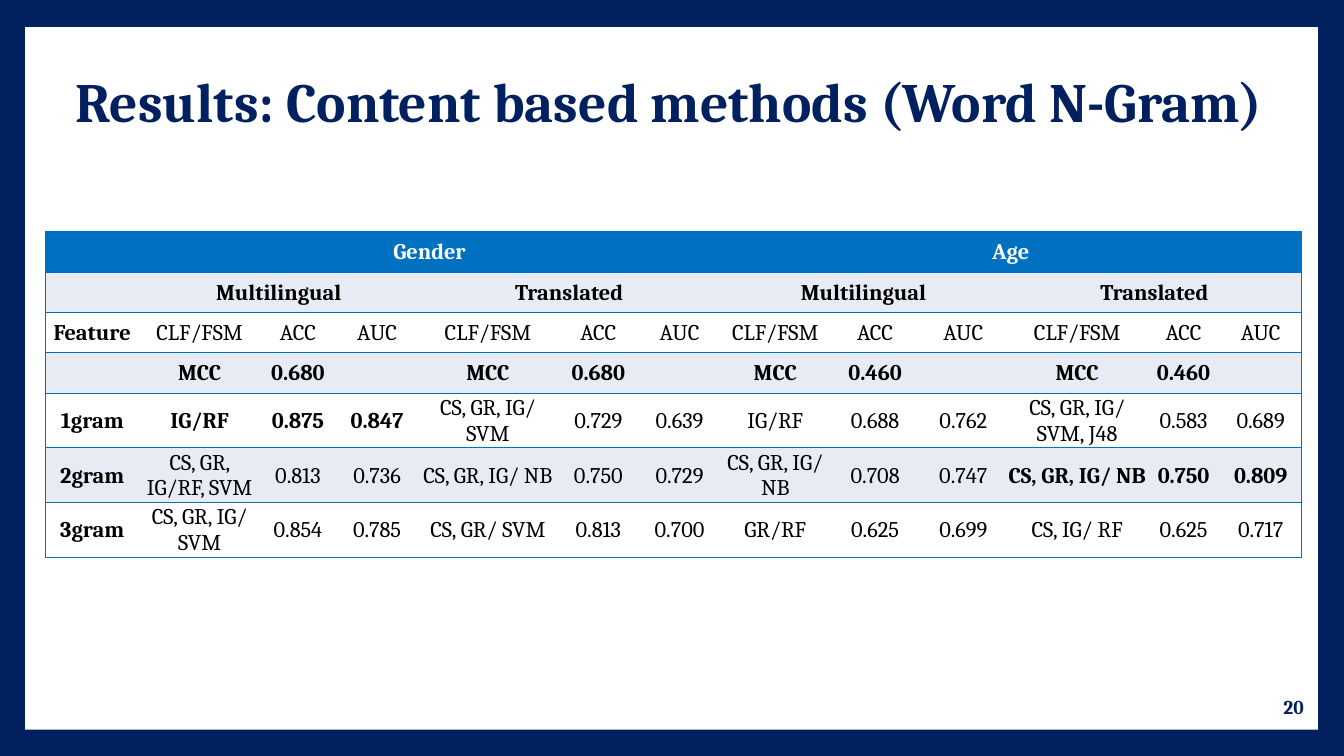
from dataclasses import dataclass

from lxml.etree import SubElement
from pptx import Presentation
from pptx.dml.color import RGBColor
from pptx.enum.shapes import MSO_SHAPE
from pptx.enum.text import MSO_ANCHOR, MSO_AUTO_SIZE, PP_ALIGN
from pptx.oxml.ns import qn
from pptx.util import Emu, Pt


@dataclass(frozen=True)
class Theme:
    font: str = "Cambria"
    navy: str = "002060"
    blue: str = "0070C0"
    band: str = "E7EBF4"
    white: str = "FFFFFF"
    black: str = "000000"
    title: float = 39.6
    cell: float = 16
    number: float = 14


T = Theme()
COLS = [93, 120, 75, 82, 138, 81, 80, 110, 88, 87, 139, 72, 81]
ROW_H = 40
MEASURES = ["CLF/FSM", "ACC", "AUC"]
LANGUAGES = ["Multilingual", "", "", "Translated", "", ""]
ROWS = [
    ["", "Gender", "", "", "", "", "", "Age", "", "", "", "", ""],
    [""] + LANGUAGES * 2,
    ["Feature"] + MEASURES * 4,
    [""] + ["MCC", "0.680", ""] * 2 + ["MCC", "0.460", ""] * 2,
    ["1gram", "IG/RF", "0.875", "0.847", "CS, GR, IG/ SVM", "0.729", "0.639",
     "IG/RF", "0.688", "0.762", "CS, GR, IG/ SVM, J48", "0.583", "0.689"],
    ["2gram", "CS, GR, IG/RF, SVM", "0.813", "0.736", "CS, GR, IG/ NB", "0.750", "0.729",
     "CS, GR, IG/ NB", "0.708", "0.747", "CS, GR, IG/ NB", "0.750", "0.809"],
    ["3gram", "CS, GR, IG/ SVM", "0.854", "0.785", "CS, GR/ SVM", "0.813", "0.700",
     "GR/RF", "0.625", "0.699", "CS, IG/ RF", "0.625", "0.717"],
]
SPANS = {0: 6, 1: 3}
BOLD_ROWS = {0, 1, 3}
BEST = {4: range(1, 4), 5: range(10, 13)}


def px(n):
    return Emu(n * 9144)


def rgb(value):
    return RGBColor.from_string(value)


def write(tf, text, size, color, bold=True, align=PP_ALIGN.CENTER):
    p = tf.paragraphs[0]
    p.alignment = align
    if text:
        r = p.add_run()
        r.text = text
        r.font.name = T.font
        r.font.size = Pt(size)
        r.font.bold = bold
        r.font.color.rgb = rgb(color)
    return p


def add_panel(s):
    sp = s.shapes.add_shape(MSO_SHAPE.RECTANGLE, px(25), px(27), px(1282), px(697))
    sp.shadow.inherit = False
    sp.fill.solid()
    sp.fill.fore_color.rgb = rgb(T.white)
    sp.line.fill.background()
    s.shapes.element.insert(2, sp.element)


def set_title(s, text):
    sp = s.shapes.title
    sp.left, sp.top, sp.width, sp.height = px(25), px(40), px(1277), px(128)
    tf = sp.text_frame
    tf.word_wrap = True
    tf.auto_size = MSO_AUTO_SIZE.NONE
    tf.vertical_anchor = MSO_ANCHOR.MIDDLE
    write(tf, text, T.title, T.navy).line_spacing = 0.9


def add_number(s, text):
    tf = s.shapes.add_textbox(px(1116), px(681), px(187), px(40)).text_frame
    tf.word_wrap = True
    tf.vertical_anchor = MSO_ANCHOR.MIDDLE
    write(tf, text, T.number, T.navy, align=PP_ALIGN.RIGHT)


def set_borders(cell, sides):
    tcPr = cell._tc.get_or_add_tcPr()
    for side in "LRTB":
        ln = SubElement(tcPr, qn(f"a:ln{side}"), w=str(Pt(1)))
        if side in sides:
            fill = SubElement(ln, qn("a:solidFill"))
            SubElement(fill, qn("a:srgbClr"), val=T.blue)
        else:
            SubElement(ln, qn("a:noFill"))


def format_cell(cell, row, col, text):
    span = SPANS.get(row, 1) if col else 1
    sides = "TB"
    if col == 0:
        sides += "L"
    if col + span >= len(COLS):
        sides += "R"
    set_borders(cell, sides)
    cell.fill.solid()
    fill = T.blue if row == 0 else T.band if row % 2 else T.white
    cell.fill.fore_color.rgb = rgb(fill)
    cell.margin_left = cell.margin_right = cell.margin_top = px(1)
    cell.margin_bottom = 0
    cell.vertical_anchor = MSO_ANCHOR.MIDDLE
    bold = row in BOLD_ROWS or col == 0 or col in BEST.get(row, ())
    write(cell.text_frame, text, T.cell, T.black if row else T.white, bold)


def add_results(s):
    gf = s.shapes.add_table(len(ROWS), len(COLS), px(45), px(230),
                            px(sum(COLS)), px(ROW_H * len(ROWS)))
    table = gf.table
    for column, width in zip(table.columns, COLS):
        column.width = px(width)
    for row, texts in enumerate(ROWS):
        table.rows[row].height = px(ROW_H)
        for col, text in enumerate(texts):
            format_cell(table.cell(row, col), row, col, text)
    for row, span in SPANS.items():
        for col in range(1, len(COLS), span):
            table.cell(row, col).merge(table.cell(row, col + span - 1))
    gf.height = px(322)


def main():
    prs = Presentation()
    prs.slide_width, prs.slide_height = px(1333), px(750)
    s = prs.slides.add_slide(prs.slide_layouts[5])
    s.background.fill.solid()
    s.background.fill.fore_color.rgb = rgb(T.navy)
    add_panel(s)
    set_title(s, "Results: Content based methods (Word N-Gram)")
    add_number(s, "20")
    add_results(s)
    prs.save("out.pptx")


if __name__ == "__main__":
    main()
